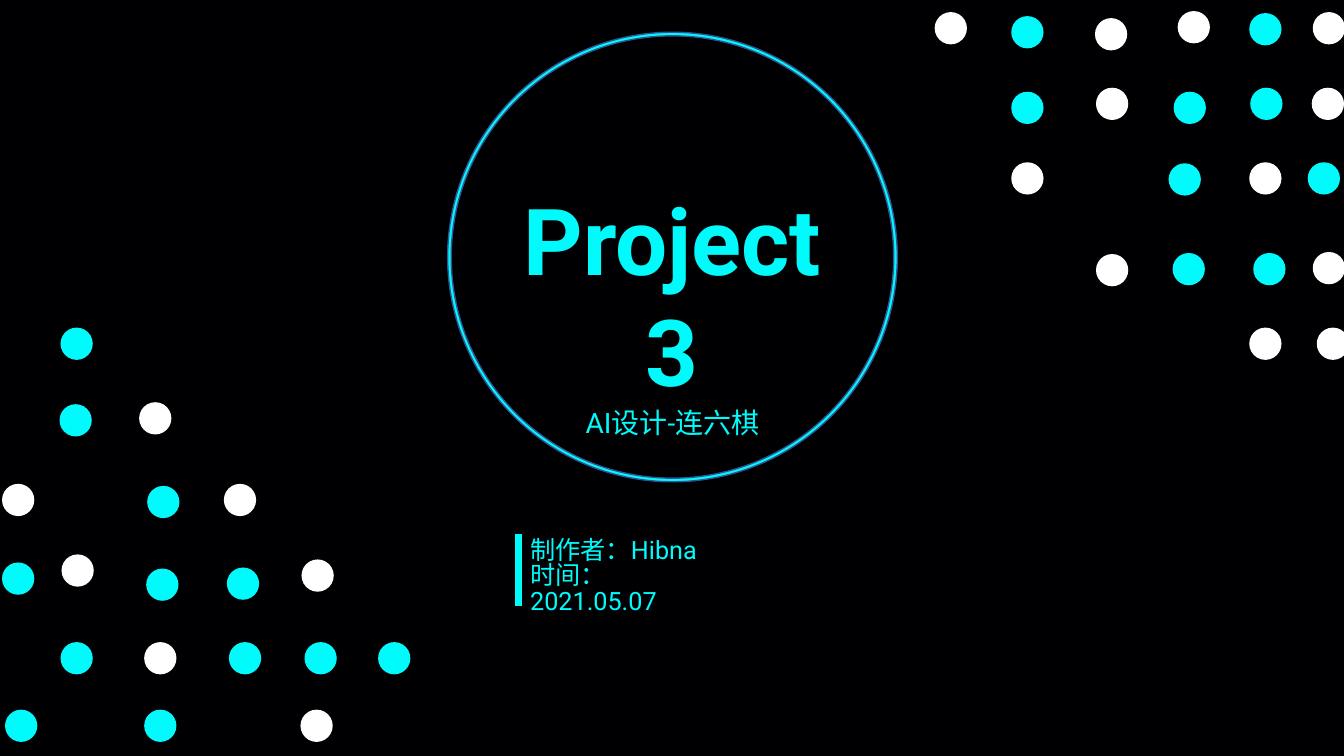
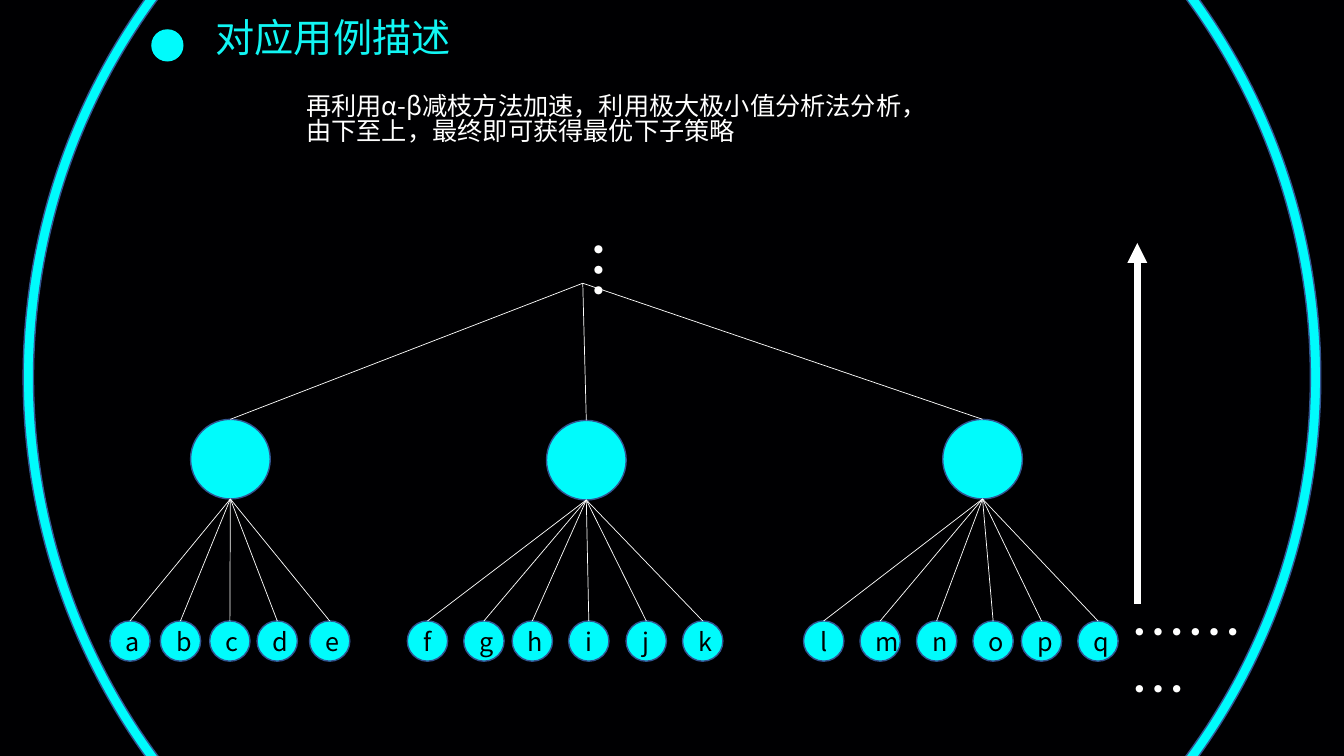
import pptx
import pptx.dml.color
import pptx.enum.shapes
import pptx.enum.text
import pptx.oxml.ns
import pptx.util
from lxml import etree
from pptx.util import Inches

COLORS = {
    "night": "000002",
    "cyan": "00FBFC",
    "heading": "11F6F4",
    "outline": "325491",
    "white": "FFFFFF",
    "black": "000000",
}
LATIN = "Roboto"
CJK = "Noto Sans CJK SC"
SHAPE = pptx.enum.shapes.MSO_SHAPE
ALIGN = pptx.enum.text.PP_ALIGN
DOT = 0.32
LEAF = 0.4
LEAF_TOP = 6.16
NODE = 0.79

WHITE_STONES = [
    (10.87, 0.87), (10.03, 1.61), (12.39, 1.61), (10.87, 2.52), (9.27, 0.12),
    (0.02, 4.8), (13.02, 0.12), (13.01, 0.87), (0.61, 5.5), (1.43, 6.37),
    (2.99, 5.55), (2.22, 4.8), (1.38, 3.99), (2.98, 7.04), (11.68, 0.11),
    (10.86, 0.18), (12.39, 3.25), (13.06, 3.25), (13.02, 2.5),
]
CYAN_STONES = [
    (10.03, 0.16), (10.03, 0.91), (11.59, 1.62), (12.43, 2.51), (12.39, 0.13),
    (12.4, 0.87), (11.64, 0.91), (12.97, 1.61), (3.75, 6.37), (0.6, 3.25),
    (1.46, 4.82), (1.45, 5.64), (1.43, 7.04), (0.6, 6.37), (2.25, 5.63),
    (2.27, 6.37), (3.02, 6.37), (0.59, 4.01), (0.05, 7.04), (0.02, 5.58),
    (11.63, 2.51),
]
# Each branch: left and top of its node, then its leaves by left edge.
BRANCHES = [
    (1.89, 4.16, {"a": 1.09, "b": 1.59, "c": 2.08, "d": 2.55, "e": 3.07}),
    (5.42, 4.17, {"f": 4.04, "g": 4.6, "h": 5.08, "i": 5.64, "j": 6.21, "k": 6.77}),
    (9.35, 4.16, {"l": 7.97, "m": 8.53, "n": 9.09, "o": 9.65, "p": 10.13, "q": 10.69}),
]
ROOT = (5.78, 2.81)


def rgb(name):
    """Return the named colour of the palette."""
    return pptx.dml.color.RGBColor.from_string(COLORS[name])


def write(paragraph, text, size=18, color="white", font=CJK, bold=False,
          align=None, spacing=None):
    """Put formatted text into a paragraph."""
    paragraph.alignment = align
    if spacing:
        paragraph.line_spacing = spacing
    run = paragraph.add_run()
    run.text = text
    run.font.size = pptx.util.Pt(size)
    run.font.bold = bold
    run.font.name = font
    run.font.color.rgb = rgb(color)
    east_asian = etree.Element(pptx.oxml.ns.qn("a:ea"), typeface=CJK)
    run.font._element.find(pptx.oxml.ns.qn("a:latin")).addnext(east_asian)


def add_text(slide, box, *lines, vertical=False, spacing=0.84, **style):
    """Add a text box; each line is its text and its own format."""
    frame = slide.shapes.add_textbox(*map(Inches, box)).text_frame
    frame.word_wrap = True
    frame.auto_size = pptx.enum.text.MSO_AUTO_SIZE.SHAPE_TO_FIT_TEXT
    if vertical:
        frame._txBody.bodyPr.set("vert", "eaVert")
    for index, (text, own) in enumerate(lines):
        paragraph = frame.add_paragraph() if index else frame.paragraphs[0]
        write(paragraph, text, **{"spacing": spacing, **style, **own})


def add_round(slide, left, top, size, color="cyan", outlined=False, kind=SHAPE.OVAL):
    """Add a circle or ring, with the dark blue outline if asked."""
    circle = slide.shapes.add_shape(kind, *map(Inches, (left, top, size, size)))
    circle.shadow.inherit = False
    circle.fill.solid()
    circle.fill.fore_color.rgb = rgb(color)
    if outlined:
        circle.line.color.rgb = rgb("outline")
        circle.line.width = pptx.util.Pt(1)
    else:
        circle.line.fill.background()
    return circle


def add_ring(slide, left, top, size):
    """Add the thin ring that frames a slide's content."""
    ring = add_round(slide, left, top, size, outlined=True, kind=SHAPE.DONUT)
    ring.adjustments[0] = 0.008


def add_line(slide, start, end, width=0.5, color="white", arrow=False):
    """Draw a straight line, with an arrowhead at its end if asked."""
    line = slide.shapes.add_connector(
        pptx.enum.shapes.MSO_CONNECTOR.STRAIGHT, *map(Inches, start + end))
    line.line.color.rgb = rgb(color)
    line.line.width = pptx.util.Pt(width)
    if arrow:
        etree.SubElement(line.line._get_or_add_ln(),
                         pptx.oxml.ns.qn("a:tailEnd"), type="triangle")
    etree.SubElement(line._element.spPr, pptx.oxml.ns.qn("a:effectLst"))


def add_branch(slide, left, top, leaves):
    """Add a tree node, its lettered leaves and the lines that join them."""
    center = left + NODE / 2
    add_round(slide, left, top, NODE, outlined=True)
    add_line(slide, (center, top), ROOT)
    for letter, leaf_left in leaves.items():
        leaf = add_round(slide, leaf_left, LEAF_TOP, LEAF, outlined=True)
        write(leaf.text_frame.paragraphs[0], letter, color="black", align=ALIGN.CENTER)
        add_line(slide, (leaf_left + LEAF / 2, LEAF_TOP), (center, top + NODE))


def new_slide(deck):
    """Add a blank slide with the dark background."""
    slide = deck.slides.add_slide(deck.slide_layouts[6])
    slide.background.fill.solid()
    slide.background.fill.fore_color.rgb = rgb("night")
    return slide


def build_cover(deck):
    """Build the cover with its ring, title, author and scattered stones."""
    slide = new_slide(deck)
    add_ring(slide, 4.44, 0.32, 4.46)
    add_text(slide, (4.91, 1.77, 3.52, 1.55),
             ("Project3", {"size": 66, "bold": True}),
             ("AI设计-连六棋", {"size": 20}),
             font=LATIN, color="cyan", align=ALIGN.CENTER, spacing=1.0)
    add_line(slide, (5.14, 5.3), (5.14, 6.01), width=5, color="cyan")
    add_text(slide, (5.16, 5.3, 2.16, 0.71),
             ("制作者：Hibna", {}), ("时间：2021.05.07", {}),
             font=LATIN, color="cyan")
    for color, stones in (("white", WHITE_STONES), ("cyan", CYAN_STONES)):
        for left, top in stones:
            add_round(slide, left, top, DOT, color)


def build_search_tree(deck):
    """Build the slide on searching the game tree from the bottom up."""
    slide = new_slide(deck)
    add_ring(slide, 0.23, -2.69, 12.87)
    add_round(slide, 1.5, 0.29, DOT)
    add_text(slide, (2.04, 0.16, 2.56, 0.57), ("对应用例描述", {}),
             size=28, font=LATIN, color="heading")
    add_text(slide, (2.94, 0.89, 7.35, 0.71),
             ("再利用α-β减枝方法加速，利用极大极小值分析法分析，", {}),
             ("由下至上，最终即可获得最优下子策略", {}))
    for branch in BRANCHES:
        add_branch(slide, *branch)
    add_text(slide, (11.11, 5.99, 1.38, 0.77), ("………", {}), size=40)
    add_text(slide, (5.31, 2.28, 0.94, 0.53), ("…", {}), size=44, vertical=True)
    add_line(slide, (11.28, 5.99), (11.28, 2.41), width=4.75, arrow=True)


def main():
    """Build and save the deck."""
    deck = pptx.Presentation()
    deck.slide_width = Inches(13.33)
    deck.slide_height = Inches(7.5)
    build_cover(deck)
    build_search_tree(deck)
    deck.save("out.pptx")


main()
